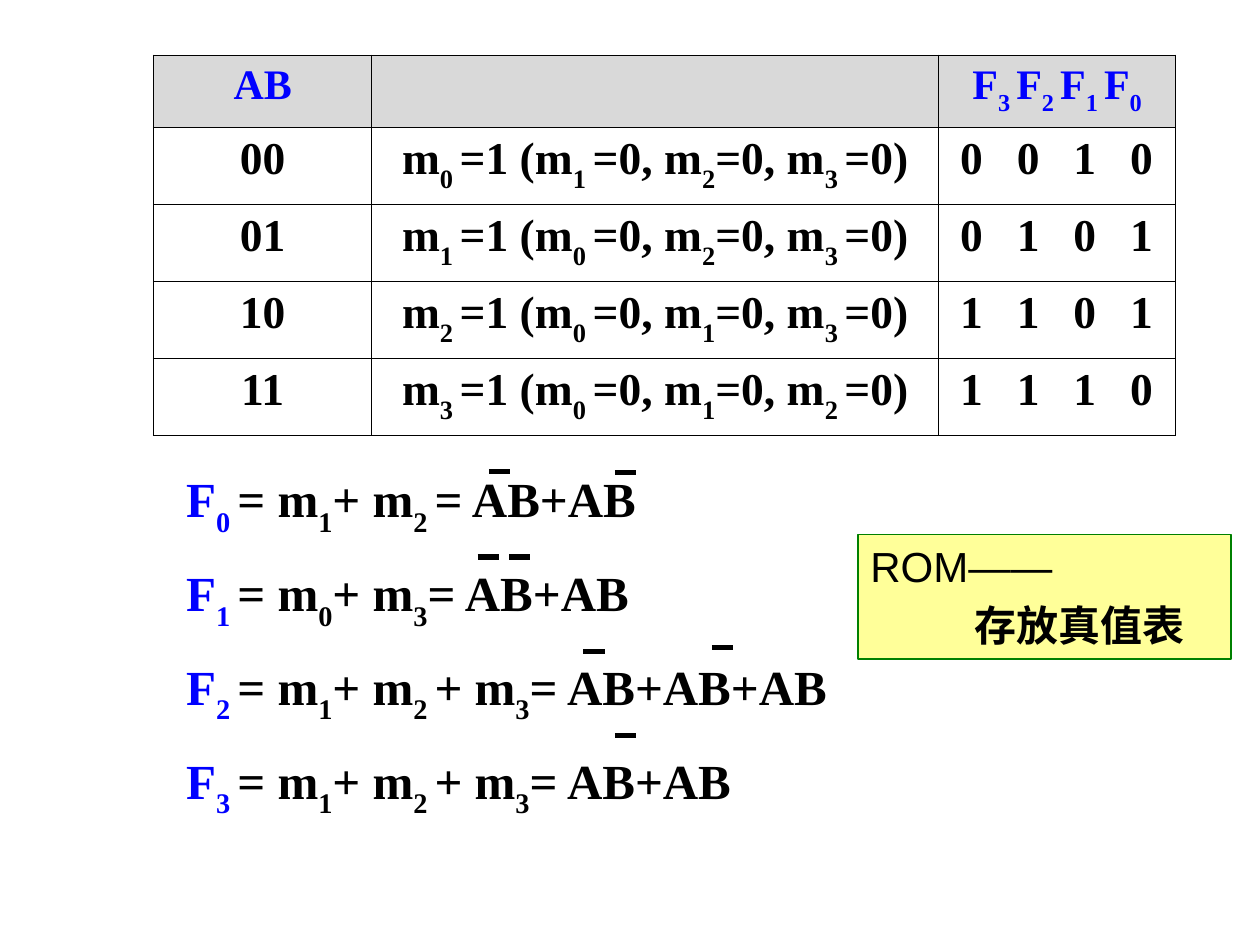
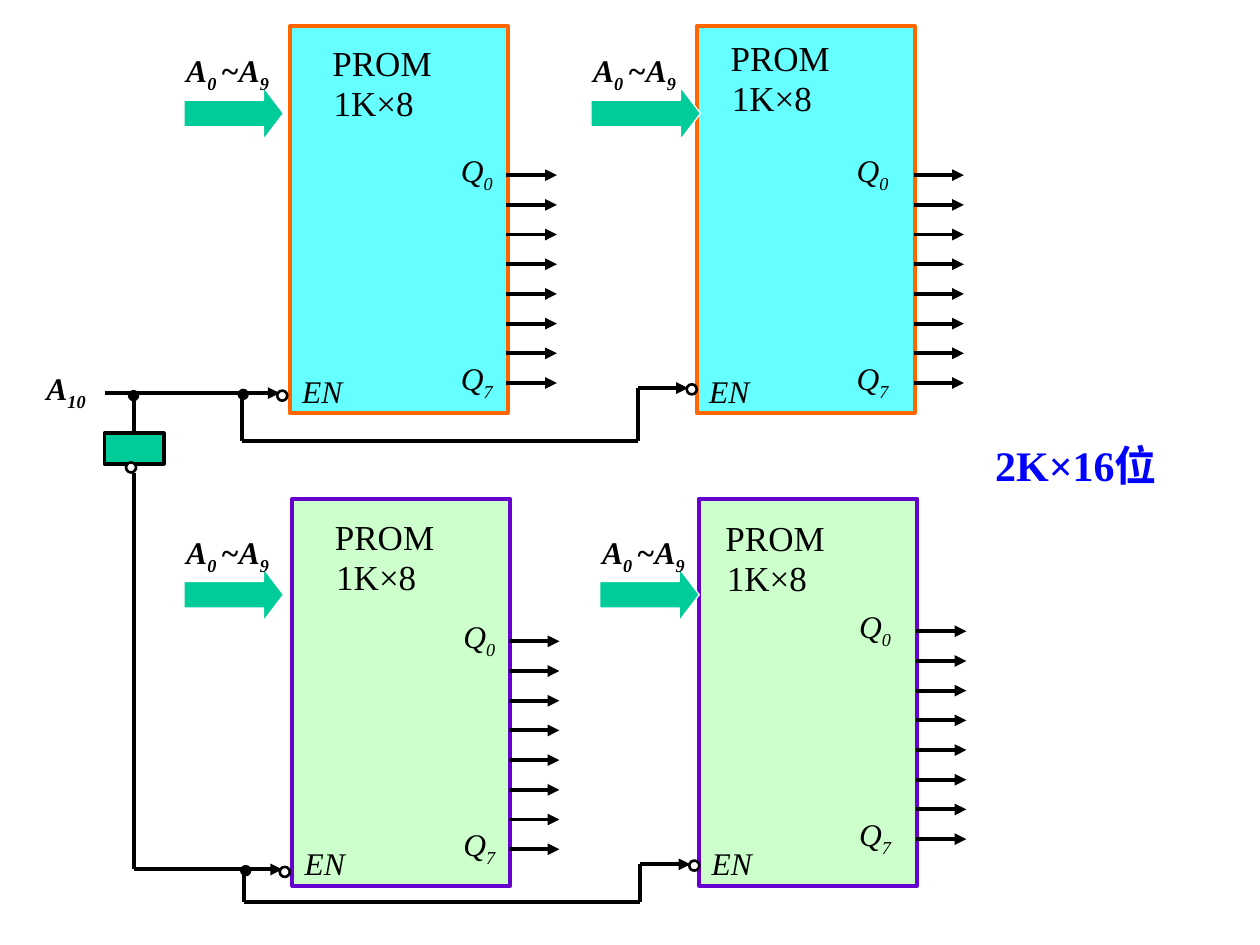
from lxml.etree import SubElement
from pptx import Presentation
from pptx.dml.color import RGBColor
from pptx.enum.shapes import MSO_CONNECTOR as Connector, MSO_SHAPE as Shape
from pptx.enum.text import MSO_ANCHOR as Anchor, MSO_AUTO_SIZE as AutoSize, PP_ALIGN as Align
from pptx.oxml.ns import qn
from pptx.util import Inches, Pt

SERIF, SANS = "Times New Roman", "Arial"
BLACK, WHITE, BLUE, GREY = "000000", "FFFFFF", "0000FF", "D9D9D9"
YELLOW, DARK_GREEN, TEAL = "FFFF99", "008000", "00CC99"


def color(hex_string):
    return RGBColor.from_string(hex_string)


class Deck:
    def __init__(self):
        self.prs = Presentation()
        self.prs.slide_width, self.prs.slide_height = Inches(10), Inches(7.5)
        self.slide = None

    def new_slide(self):
        self.slide = self.prs.slides.add_slide(self.prs.slide_layouts[6])

    def fill_paragraph(self, para, text, size, ink=BLACK, font=SERIF, bold=False, italic=False,
                       before=50, sub=-25, tabs=(), lead_ink=None):
        """Fill a paragraph; every second part between bars is a subscript."""
        props = para._p.get_or_add_pPr()
        spacing = SubElement(props, qn("a:spcBef"))
        SubElement(spacing, qn("a:spcPct"), val=str(before * 1000))
        if tabs:
            stops = SubElement(props, qn("a:tabLst"))
            for tab in tabs:
                SubElement(stops, qn("a:tab"), pos=str(Inches(tab)), algn="l")
        style = para.font
        style.name, style.size, style.bold, style.italic = font, Pt(size), bold, italic
        style.color.rgb = color(ink)
        for i, part in enumerate(text.split("|")):
            run = para.add_run()
            run.text = part
            if i % 2:
                run._r.get_or_add_rPr().set("baseline", str(sub * 1000))
            if lead_ink and i < 2:
                run.font.color.rgb = color(lead_ink)

    def text(self, x, y, w, h, lines, size, **style):
        box = self.slide.shapes.add_textbox(Inches(x), Inches(y), Inches(w), Inches(h))
        frame = box.text_frame
        frame.word_wrap, frame.auto_size = True, AutoSize.SHAPE_TO_FIT_TEXT
        for i, line in enumerate(lines):
            para = frame.add_paragraph() if i else frame.paragraphs[0]
            self.fill_paragraph(para, line, size, **style)

    def shape(self, kind, x, y, w, h, fill, line, weight):
        shape = self.slide.shapes.add_shape(kind, Inches(x), Inches(y), Inches(w), Inches(h))
        shape.shadow.inherit = False
        shape.fill.solid()
        shape.fill.fore_color.rgb = color(fill)
        shape.line.color.rgb = color(line)
        shape.line.width = Pt(weight)
        return shape

    def dot(self, x, y, fill=BLACK, weight=0.75):
        self.shape(Shape.OVAL, x - 0.04, y - 0.04, 0.08, 0.08, fill, BLACK, weight)

    def bubble(self, x, y):
        self.dot(x, y, WHITE, 1.5)

    def wire(self, *points, arrow=False, weight=2.25):
        """Join the points by straight lines, with an arrowhead at the end if asked."""
        for start, end in zip(points, points[1:]):
            line = self.slide.shapes.add_connector(
                Connector.STRAIGHT, *(Inches(v) for v in (*start, *end)))
            line.line.color.rgb = color(BLACK)
            line.line.width = Pt(weight)
            SubElement(line._element.spPr, qn("a:effectLst"))
        if arrow:
            SubElement(line.line._get_or_add_ln(), qn("a:tailEnd"), type="triangle")

    def table(self, x, y, widths, heights):
        frame = self.slide.shapes.add_table(len(heights), len(widths), Inches(x), Inches(y),
                                            Inches(sum(widths)), Inches(sum(heights)))
        table = frame.table
        for column, width in zip(table.columns, widths):
            column.width = Inches(width)
        for row, height in zip(table.rows, heights):
            row.height = Inches(height)
        return table

    def style_cell(self, cell, fill):
        props = cell._tc.get_or_add_tcPr()
        for side in ("lnL", "lnR", "lnT", "lnB"):
            border = SubElement(props, qn(f"a:{side}"), w=str(Pt(1)))
            SubElement(SubElement(border, qn("a:solidFill")), qn("a:srgbClr"), val=BLACK)
        cell.fill.solid()
        cell.fill.fore_color.rgb = color(fill)
        cell.vertical_anchor = Anchor.TOP


def truth_table_slide(deck):
    deck.new_slide()

    # Output equations and their negation bars
    deck.text(1.38, 3.67, 5.83, 2.67, [
        "F|0 |= m|1|+ m|2 |= AB+AB",
        "F|1 |= m|0|+ m|3|= AB+AB",
        "F|2 |= m|1|+ m|2 |+ m|3|= AB+AB+AB",
        "F|3 |= m|1|+ m|2 |+ m|3|= AB+AB",
    ], 28, bold=True, sub=-30, lead_ink=BLUE)
    for x, y in [(3.88, 3.74), (4.88, 3.75), (3.79, 4.42), (4.04, 4.42),
                 (4.63, 5.17), (5.65, 5.14), (4.88, 5.84)]:
        deck.wire((x, y), (x + 0.17, y), weight=3)

    # Remark on the ROM
    remark = deck.shape(Shape.RECTANGLE, 6.81, 4.24, 2.96, 0.99, YELLOW, DARK_GREEN, 0.75)
    frame = remark.text_frame
    frame.word_wrap, frame.vertical_anchor = True, Anchor.TOP
    heading, content = frame.paragraphs[0], frame.add_paragraph()
    for para, line, bold in [(heading, "ROM——", False), (content, "存放真值表", True)]:
        para.alignment = Align.LEFT
        deck.fill_paragraph(para, line, 24, font=SANS, bold=bold, before=20)
    content._p.get_or_add_pPr().set("marL", str(Inches(0.83)))

    # Truth table: address, active minterm, stored word
    rows = [("AB", "", "F|3 |F|2 |F|1 |F|0")]
    for active, word in enumerate(["0010", "0101", "1101", "1110"]):
        a, b, c = (n for n in range(4) if n != active)
        minterms = f"m|{active} |=1 (m|{a} |=0, m|{b}|=0, m|{c} |=0)"
        rows.append((f"{active:02b}", minterms, "\t".join(word)))
    table = deck.table(1.22, 0.44, [1.73, 4.5, 1.88], [0.57] + [0.61] * 4)
    for r, row in enumerate(rows):
        for c, value in enumerate(row):
            cell = table.cell(r, c)
            deck.style_cell(cell, WHITE if r else GREY)
            if not value:
                continue
            para = cell.text_frame.paragraphs[0]
            is_word = r > 0 and c == 2
            para.alignment = Align.LEFT if is_word else Align.CENTER
            if is_word:
                cell.margin_left = Inches(0.17)
            deck.fill_paragraph(para, value, 26 if r else 24, BLACK if r else BLUE, bold=True,
                                sub=-30, before=20 if r else 0,
                                tabs=(0.45, 0.9, 1.35) if is_word else ())


def draw_chip(deck, x, y, fill, line, label, outputs, address):
    """One PROM; label and outputs are offsets from its corner, address is x and width."""
    deck.shape(Shape.RECTANGLE, x, y, 1.73, 3.07, fill, line, 2.25)
    label_x, label_y = x + label[0], y + label[1]
    deck.text(label_x, label_y, 1.34, 0.43, ["PROM"], 20)
    deck.text(label_x + 0.01, label_y + 0.32, 1.34, 0.43, ["1K×8"], 20)
    deck.text(x, y + 2.69, 0.55, 0.4, ["EN"], 18, italic=True)

    # Data outputs
    q_x, q_y = x + outputs[0], y + outputs[1]
    for name, drop in [("Q|0", 0), ("Q|7", 1.65)]:
        deck.text(q_x, q_y + drop, 0.47, 0.4, [name], 18, italic=True)
    for n in range(8):
        pin_y = q_y + 0.24 + n * 1.65 / 7
        deck.wire((x + 1.72, pin_y), (x + 2.12, pin_y), arrow=True)

    # Address inputs
    bus_x, bus_width = address
    bus_y = y + (0.48 if y < 1 else 0.55)
    bus = deck.shape(Shape.RIGHT_ARROW, bus_x, bus_y, bus_width, 0.42, TEAL, WHITE, 0.75)
    bus.adjustments[0], bus.adjustments[1] = 0.5, 0.38
    deck.text(bus_x - 0.08, bus_y - 0.33, 1.1, 0.4, ["A|0 |~A|9"], 18, bold=True, italic=True)


def prom_expansion_slide(deck):
    deck.new_slide()
    upper, lower = ("66FFFF", "FF6600"), ("CCFFCC", "6600CC")

    # Four chips
    draw_chip(deck, 2.3, 0.21, *upper, (0.24, 0.07), (1.26, 0.94), (1.46, 0.79))
    draw_chip(deck, 5.53, 0.21, *upper, (0.17, 0.03), (1.17, 0.94), (4.69, 0.87))
    draw_chip(deck, 2.32, 3.96, *lower, (0.24, 0.08), (1.26, 0.89), (1.46, 0.79))
    draw_chip(deck, 5.55, 3.96, *lower, (0.11, 0.09), (1.17, 0.81), (4.76, 0.79))

    # Enable wiring of each row
    for start_x, shift, enable_y, bus_y in [(0.83, 0, 3.12, 3.5), (1.06, 0.02, 6.9, 7.16)]:
        branch_x, rise_x = 1.92 + shift, 5.06 + shift
        second_y = enable_y - 0.04
        deck.wire((start_x, enable_y), (2.22 + shift, enable_y), arrow=True)
        deck.wire((branch_x, enable_y), (branch_x, bus_y), (rise_x, bus_y),
                  (rise_x, second_y), (5.46 + shift, second_y), arrow=True)
        deck.dot(branch_x + 0.01, enable_y + 0.01)
        deck.bubble(2.24 + shift, enable_y + 0.02)
        deck.bubble(5.49 + shift, second_y + 0.01)

    # Address line A10 and its inverter
    deck.text(0.27, 2.88, 0.55, 0.4, ["A|10"], 18, bold=True, italic=True)
    deck.wire((1.06, 3.12), (1.06, 3.44))
    deck.dot(1.06, 3.14)
    deck.shape(Shape.RECTANGLE, 0.83, 3.44, 0.47, 0.24, TEAL, BLACK, 2.25)
    deck.bubble(1.04, 3.71)
    deck.wire((1.06, 3.75), (1.06, 6.9))

    # Resulting capacity
    deck.text(7.8, 3.44, 2.2, 0.51, ["2K×16位"], 24, ink=BLUE, bold=True)


def main():
    deck = Deck()
    truth_table_slide(deck)
    prom_expansion_slide(deck)
    deck.prs.save("out.pptx")


if __name__ == "__main__":
    main()
